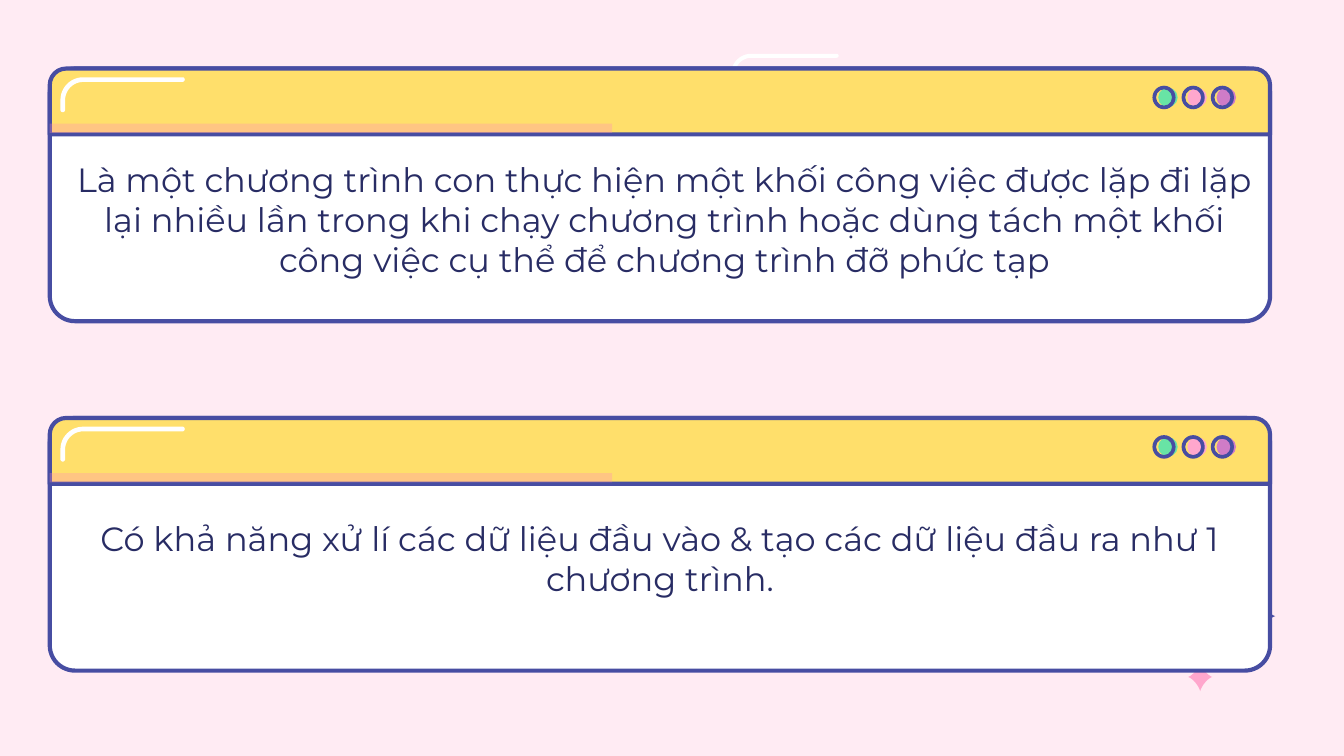
import math

from lxml import etree
from pptx import Presentation
from pptx import util as u
from pptx.dml.color import RGBColor
from pptx.enum import shapes, text
from pptx.oxml import ns

PINK_BACKGROUND = RGBColor(0xFF, 0xEB, 0xF3)
INDIGO = RGBColor(0x47, 0x4D, 0xA2)
NAVY = RGBColor(0x28, 0x2C, 0x64)
WHITE = RGBColor(0xFF, 0xFF, 0xFF)
YELLOW = RGBColor(0xFF, 0xDF, 0x6B)
ROSE = RGBColor(0xFF, 0x89, 0xBC)
GREEN = RGBColor(0x68, 0xE4, 0xA5)
PINK = RGBColor(0xFF, 0xA7, 0xCD)
PURPLE = RGBColor(0xCF, 0x7C, 0xC7)

# The grid has 100 columns, and its rows are as high as the columns are wide
COLUMNS, ROWS = 100, 56.25
WINDOW_LEFT, WINDOW_WIDTH, WINDOW_HEIGHT, BAR_HEIGHT = 3.7, 90.8, 18.8, 4.9


def arc(center_x, center_y, radius, start, end, steps=12):
    """Points along an arc, with angles in degrees, clockwise from the right."""
    angles = [math.radians(start + (end - start) * i / steps) for i in range(steps + 1)]
    return [(center_x + radius * math.cos(a), center_y + radius * math.sin(a))
            for a in angles]


class SlideBuilder:
    font = "Montserrat"
    font_size = u.Pt(18)
    inset = 1

    def __init__(self, presentation):
        self.unit = presentation.slide_width / COLUMNS
        self.slide = presentation.slides.add_slide(presentation.slide_layouts[1])
        self.slide.background.fill.solid()
        self.slide.background.fill.fore_color.rgb = PINK_BACKGROUND

    def length(self, cells):
        return u.Emu(round(cells * self.unit))

    def paint(self, shape, color, line_width=None, alpha=None):
        shape.shadow.inherit = False
        shape.fill.solid()
        shape.fill.fore_color.rgb = color
        if alpha is not None:
            color_node = shape.element.spPr.find(".//" + ns.qn("a:srgbClr"))
            etree.SubElement(color_node, ns.qn("a:alpha"), val=str(alpha * 1000))
        if line_width:
            shape.line.color.rgb = INDIGO
            shape.line.width = u.Pt(line_width)
        else:
            shape.line.fill.background()

    def preset(self, parent, kind, box, color, line_width=None, adjustments=(), alpha=None):
        shape = parent.shapes.add_shape(kind, *map(self.length, box))
        for index, value in enumerate(adjustments):
            shape.adjustments[index] = value
        self.paint(shape, color, line_width, alpha)

    def outline(self, parent, points, color):
        points = [(self.length(x), self.length(y)) for x, y in points]
        builder = parent.shapes.build_freeform(*points[0])
        builder.add_line_segments(points[1:], close=True)
        self.paint(builder.convert_to_shape(), color)

    def sparkle(self, left, top, width, height, color):
        points = [(left + width / 2 * (1 + math.copysign(abs(x) ** 2.7, x)),
                   top + height / 2 * (1 + math.copysign(abs(y) ** 2.7, y)))
                  for x, y in arc(0, 0, 1, 0, 360, 48)]
        self.outline(self.slide, points, color)

    def glint(self, parent, left, top, width, height, radius, thickness):
        """A rounded corner stroke with round ends."""
        cap = thickness / 2
        corner = (left + radius, top + radius)
        points = (arc(*corner, radius, 180, 270)
                  + arc(left + width - cap, top + cap, cap, -90, 90)
                  + arc(*corner, radius - thickness, 270, 180)
                  + arc(left + cap, top + height - cap, cap, 0, 180))
        self.outline(parent, points, WHITE)

    def window(self, top):
        group = self.slide.shapes.add_group_shape()
        kinds = shapes.MSO_SHAPE
        # Frame, title bar and the shade along the bar
        self.preset(group, kinds.ROUNDED_RECTANGLE,
                    (WINDOW_LEFT, top, WINDOW_WIDTH, WINDOW_HEIGHT), WHITE, 2.25, [0.1])
        self.preset(group, kinds.ROUND_2_SAME_RECTANGLE,
                    (WINDOW_LEFT, top, WINDOW_WIDTH, BAR_HEIGHT), YELLOW, 2.25, [0.25, 0])
        self.preset(group, kinds.RECTANGLE, (WINDOW_LEFT, top + 4.1, 41.85, 0.7),
                    ROSE, alpha=30)
        # Buttons
        for index, color in enumerate((GREEN, PINK, PURPLE)):
            left = 85.8 + 2.17 * index
            self.preset(group, kinds.OVAL, (left + 0.38, top + 1.43, 1.45, 1.45), color)
            self.preset(group, kinds.DONUT, (left, top + 1.33, 1.62, 1.65), INDIGO, 0.75, [0.1])
        self.glint(group, WINDOW_LEFT + 0.8, top + 0.65, 9.25, 2.6, 1.7, 0.35)

    def paragraph_text(self, placeholder, box, content, anchor, bottom_inset=1):
        placeholder.left, placeholder.top, placeholder.width, placeholder.height = map(
            self.length, box)
        # Bring the text in front of the windows
        placeholder.element.getparent().append(placeholder.element)
        frame = placeholder.text_frame
        frame.text = content
        frame.word_wrap = True
        frame.auto_size = text.MSO_AUTO_SIZE.NONE
        frame.vertical_anchor = anchor
        frame.margin_left = frame.margin_right = frame.margin_top = self.length(self.inset)
        frame.margin_bottom = self.length(bottom_inset)
        paragraph = frame.paragraphs[0]
        paragraph.alignment = text.PP_ALIGN.CENTER
        paragraph.space_before = u.Pt(0)
        properties = paragraph._p.get_or_add_pPr()
        properties.set("marL", "0")
        properties.set("indent", "0")
        etree.SubElement(properties, ns.qn("a:buNone"))
        font = paragraph.runs[0].font
        font.name, font.size, font.color.rgb = self.font, self.font_size, NAVY


def main():
    presentation = Presentation()
    presentation.slide_width = u.Inches(10)
    presentation.slide_height = u.Emu(round(presentation.slide_width * ROWS / COLUMNS))
    builder = SlideBuilder(presentation)
    title, body = builder.slide.placeholders

    # Background decoration
    builder.sparkle(92.1, 44.2, 2.8, 3.3, INDIGO)
    builder.sparkle(88.4, 49.3, 1.8, 2.15, PINK)
    builder.glint(builder.slide, 54.4, 4, 8, 2.2, 1.5, 0.3)

    # Upper window
    builder.window(5.1)
    builder.paragraph_text(
        body, (3.9, 10.8, 91.1, 19.8),
        "Là một chương trình con thực hiện một khối công việc được lặp đi lặp lại "
        "nhiều lần trong khi chạy chương trình hoặc dùng tách một khối công việc "
        "cụ thể để chương trình đỡ phức tạp",
        text.MSO_ANCHOR.TOP)

    # Lower window, its text raised by one line
    builder.window(31.1)
    builder.paragraph_text(
        title, (WINDOW_LEFT, 37.2, WINDOW_WIDTH, 11.6),
        "Có khả năng xử lí các dữ liệu đầu vào & tạo các dữ liệu đầu ra như 1 chương trình.",
        text.MSO_ANCHOR.MIDDLE, bottom_inset=4)

    presentation.save("out.pptx")


if __name__ == "__main__":
    main()
